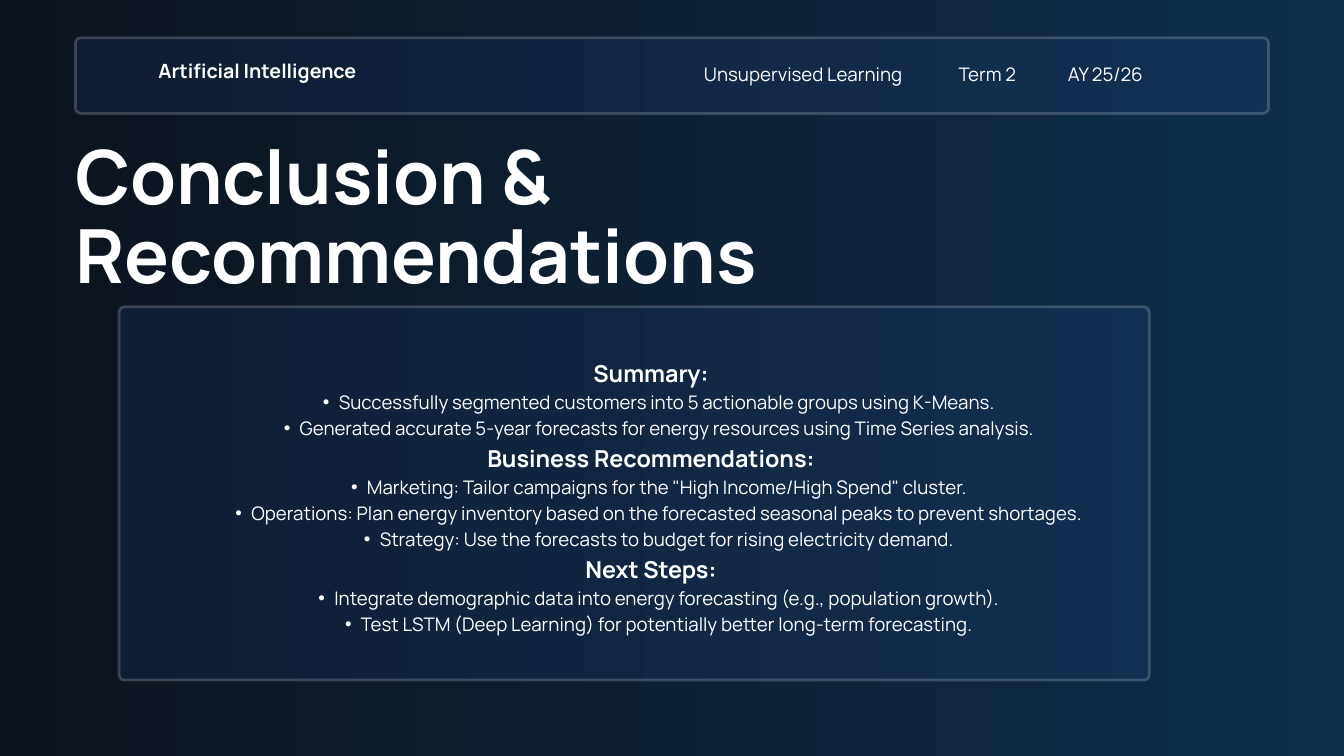
"""Build the closing slide: conclusion, recommendations and next steps."""
from lxml import etree
from pptx import Presentation
from pptx import util as u
from pptx.dml.color import RGBColor
from pptx.enum import shapes, text
from pptx.oxml.ns import qn


def rgb(value):
    return RGBColor.from_string(value)


def write(sp, box, lines, align, wrap=True):
    for name, value in zip(("left", "top", "width", "height"), box):
        setattr(sp, name, u.Cm(value))
    tf = sp.text_frame
    frame = {"margin_left": 0, "margin_top": 0, "margin_right": 0, "margin_bottom": 0,
             "word_wrap": wrap, "auto_size": text.MSO_AUTO_SIZE.NONE,
             "vertical_anchor": text.MSO_ANCHOR.TOP}
    for name, value in frame.items():
        setattr(tf, name, value)
    for i, (words, size, bold, spacing, bullet) in enumerate(lines):
        p = tf.add_paragraph() if i else tf.paragraphs[0]
        p.alignment, p.line_spacing = align, u.Pt(spacing)
        if bullet:
            p.level = 1
            pPr = p._p.get_or_add_pPr()
            pPr.set("marL", str(u.Cm(1.2)))
            pPr.set("indent", str(u.Cm(-0.6)))
            etree.SubElement(pPr, qn("a:buFont")).set("typeface", "Arial")
            etree.SubElement(pPr, qn("a:buChar")).set("char", "•")
        r = p.add_run()
        r.text = words
        for name, value in {"name": "Manrope", "size": u.Pt(size), "bold": bold}.items():
            setattr(r.font, name, value)
        r.font.color.rgb = rgb("FFFFFF")


prs = Presentation()
prs.slide_width, prs.slide_height = u.Cm(50.8), u.Cm(28.58)
s = prs.slides.add_slide(prs.slide_layouts[5])
bg = s.background.fill
bg.gradient()
bg.gradient_angle = 0
for stop, value in zip(bg.gradient_stops, ("0C131D", "0F2E4A")):
    stop.color.rgb = rgb(value)

for box in ((4.5, 11.6, 38.94, 14.11), (2.85, 1.43, 45.1, 2.86)):
    sp = s.shapes.add_shape(shapes.MSO_SHAPE.ROUNDED_RECTANGLE, *map(u.Cm, box))
    sp.adjustments[0] = 0.21 / box[3]
    sp.shadow.inherit = False
    sp.fill.solid()
    sp.fill.fore_color.rgb = rgb("244389")
    sp.line.color.rgb = rgb("FFFFFF")
    sp.line.width = u.Pt(3)
    for color in sp._element.spPr.iter(qn("a:srgbClr")):
        etree.SubElement(color, qn("a:alpha")).set("val", "19000")

LEFT, CENTER, RIGHT = text.PP_ALIGN.LEFT, text.PP_ALIGN.CENTER, text.PP_ALIGN.RIGHT
write(s.shapes.title, (2.85, 5.26, 28.85, 6.35),
      [("Conclusion & Recommendations", 80, True, 85.6, False)], LEFT)

sections = {
    "Summary:": [
        "Successfully segmented customers into 5 actionable groups using K-Means.",
        "Generated accurate 5-year forecasts for energy resources using Time Series analysis.",
    ],
    "Business Recommendations:": [
        'Marketing: Tailor campaigns for the "High Income/High Spend" cluster.',
        "Operations: Plan energy inventory based on the forecasted seasonal peaks to prevent shortages.",
        "Strategy: Use the forecasts to budget for rising electricity demand.",
    ],
    "Next Steps:": [
        "Integrate demographic data into energy forecasting (e.g., population growth).",
        "Test LSTM (Deep Learning) for potentially better long-term forecasting.",
    ],
}
lines = []
for heading, points in sections.items():
    lines.append((heading, 25, True, 35, False))
    lines += [(point, 20, False, 28, True) for point in points]
write(s.shapes.add_textbox(0, 0, 0, 0), (5.49, 13.41, 38.23, 11.5), lines, CENTER)

header = [
    ("Artificial Intelligence", (5.99, 2.44, 13, 0.79), 21, True, 19.5, LEFT),
    ("Unsupervised Learning", (23.98, 2.24, 10.13, 0.99), 20, False, 28, RIGHT),
    ("Term 2", (35.84, 2.24, 2.57, 0.99), 20, False, 28, RIGHT),
    ("AY 25/26", (39.09, 2.24, 4.11, 0.99), 20, False, 28, RIGHT),
]
for words, box, size, bold, spacing, align in header:
    write(s.shapes.add_textbox(0, 0, 0, 0), box, [(words, size, bold, spacing, False)], align)

prs.save("out.pptx")
